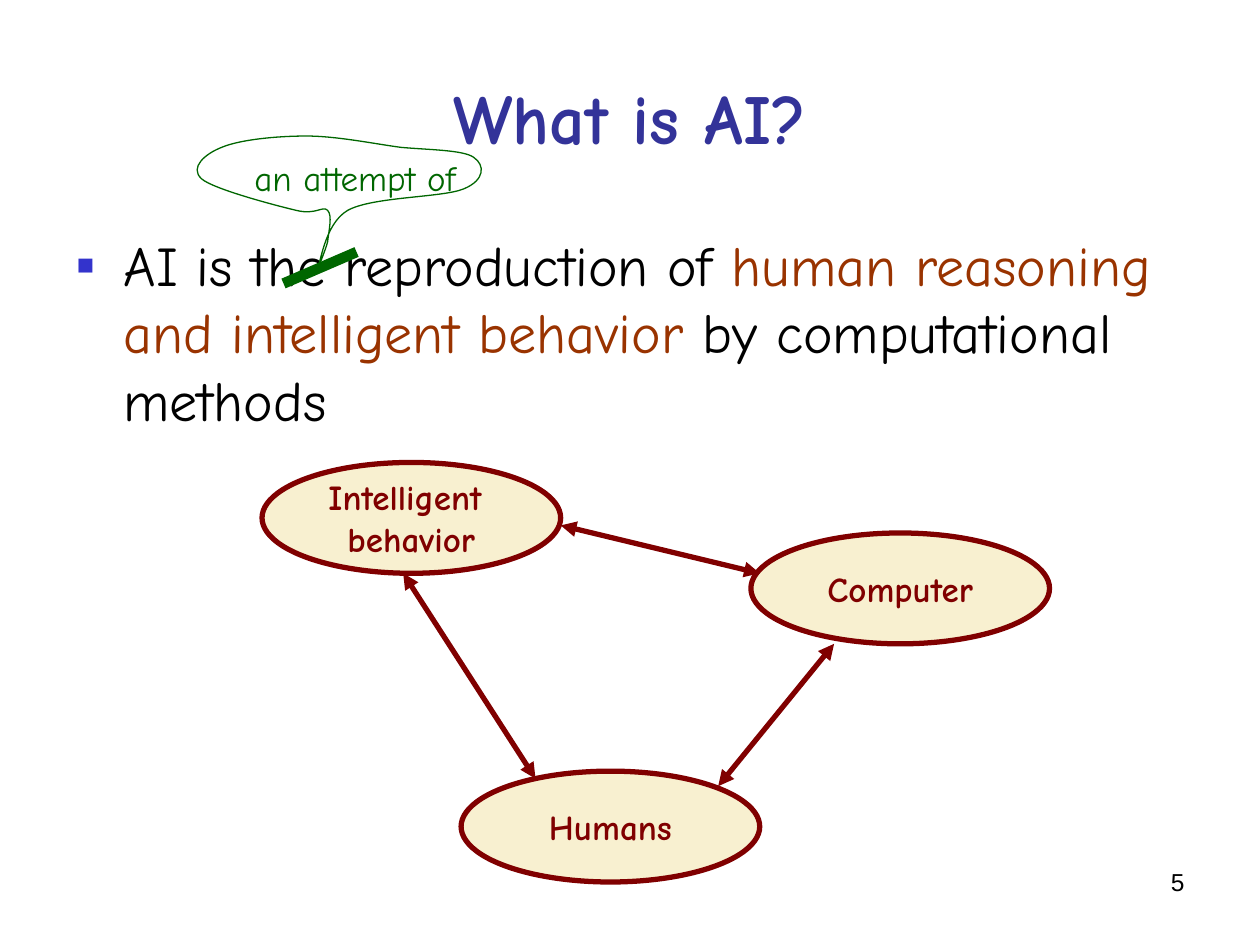
from lxml import etree
from pptx import Presentation
from pptx.dml.color import RGBColor
from pptx.enum.shapes import MSO_CONNECTOR, MSO_SHAPE
from pptx.enum.text import MSO_ANCHOR, MSO_AUTO_SIZE, PP_ALIGN
from pptx.oxml.ns import qn
from pptx.util import Inches, Pt

STRAIGHT = MSO_CONNECTOR.STRAIGHT
OVAL = MSO_SHAPE.OVAL
MIDDLE = MSO_ANCHOR.MIDDLE
NO_AUTOFIT = MSO_AUTO_SIZE.NONE
LEFT, CENTER, RIGHT = PP_ALIGN.LEFT, PP_ALIGN.CENTER, PP_ALIGN.RIGHT

COLORS = {
    "title": "333399",
    "text": "000000",
    "emphasis": "993300",
    "bullet": "3333CC",
    "node": "F8F0D0",
    "maroon": "800000",
    "green": "006600",
}
FONT = "Comic Neue"
NODE_SIZE = (2.37, 0.88)
NODES = [
    (2.08, 3.67, ["Intelligent ", "behavior"]),
    (3.66, 6.12, ["Humans"]),
    (5.96, 4.23, ["Computer"]),
]
LINKS = [
    ((3.2, 4.55), (4.25, 6.18)),
    ((5.7, 6.24), (6.62, 5.11)),
    ((4.45, 4.17), (6.03, 4.55)),
]
BUBBLE_START = (2.43, 1.08)
# Each curve: two control points and an end point
BUBBLE_CURVES = [
    ((2.19, 1.08), (1.9, 1.11), (1.76, 1.17)),
    ((1.63, 1.22), (1.5, 1.33), (1.6, 1.42)),
    ((1.69, 1.5), (2.18, 1.63), (2.35, 1.67)),
    ((2.51, 1.71), (2.56, 1.63), (2.6, 1.67)),
    ((2.64, 1.71), (2.61, 1.83), (2.6, 1.92)),
    ((2.58, 2), (2.49, 2.21), (2.51, 2.17)),
    ((2.54, 2.12), (2.57, 1.78), (2.76, 1.67)),
    ((2.96, 1.56), (3.51, 1.57), (3.68, 1.5)),
    ((3.85, 1.43), (3.85, 1.31), (3.76, 1.25)),
    ((3.68, 1.19), (3.4, 1.19), (3.18, 1.17)),
    ((2.96, 1.14), (2.67, 1.08), (2.43, 1.08)),
]


def rgb(name):
    return RGBColor.from_string(COLORS[name])


def merge_into_curves(shape):
    """Turn every three line segments of a freeform into one cubic curve."""
    segments = list(shape._element.iter(qn("a:lnTo")))
    for first in range(0, len(segments), 3):
        curve = etree.Element(qn("a:cubicBezTo"))
        segments[first].addprevious(curve)
        for segment in segments[first:first + 3]:
            curve.append(segment[0])
            segment.getparent().remove(segment)


class SlideBuilder:
    def __init__(self, slide, font):
        self.slide = slide
        self.font = font

    def place(self, shape, left, top, width, height):
        shape.left, shape.top = Inches(left), Inches(top)
        shape.width, shape.height = Inches(width), Inches(height)

    def style(self, paragraph, size, color, bold=False, align=LEFT, font=None):
        paragraph.alignment = align
        paragraph.font.name = font or self.font
        paragraph.font.size = Pt(size)
        paragraph.font.bold = bold
        paragraph.font.color.rgb = rgb(color)

    def outline(self, shape, color, width):
        shape.line.color.rgb = rgb(color)
        shape.line.width = Pt(width)

    def title(self, text, box):
        title = self.slide.shapes.title
        self.place(title, *box)
        frame = title.text_frame
        frame.text = text
        frame.auto_size = NO_AUTOFIT
        frame.vertical_anchor = MIDDLE
        self.style(frame.paragraphs[0], 40, "title", bold=True, align=CENTER)

    def bullet(self, runs, box):
        body = self.slide.placeholders[1]
        self.place(body, *box)
        body.text_frame.auto_size = NO_AUTOFIT
        paragraph = body.text_frame.paragraphs[0]
        self.style(paragraph, 32, "text")
        paragraph.space_before = Pt(0)
        for text, color in runs:
            run = paragraph.add_run()
            run.text = text
            run.font.color.rgb = rgb(color)
        props = paragraph._p.get_or_add_pPr()
        props.set("marL", str(Inches(0.38)))
        props.set("indent", str(-Inches(0.38)))
        bullet_color = etree.Element(qn("a:buClr"))
        etree.SubElement(bullet_color, qn("a:srgbClr"), val=COLORS["bullet"])
        bullet_font = etree.Element(qn("a:buFont"), typeface="Arial")
        bullet_char = etree.Element(qn("a:buChar"), char="▪")
        run_defaults = props.find(qn("a:defRPr"))
        for element in (bullet_color, bullet_font, bullet_char):
            run_defaults.addprevious(element)

    def label(self, text, box, size, color, wrap=True, align=LEFT, font=None):
        frame = self.slide.shapes.add_textbox(*map(Inches, box)).text_frame
        frame.word_wrap = wrap
        frame.text = text
        self.style(frame.paragraphs[0], size, color, align=align, font=font)

    def node(self, left, top, lines):
        oval = self.slide.shapes.add_shape(
            OVAL, *map(Inches, (left, top, *NODE_SIZE)))
        oval.shadow.inherit = False
        oval.fill.solid()
        oval.fill.fore_color.rgb = rgb("node")
        self.outline(oval, "maroon", 3)
        frame = oval.text_frame
        frame.word_wrap = False
        frame.vertical_anchor = MIDDLE
        frame.text = "\n".join(lines)
        for paragraph in frame.paragraphs:
            self.style(paragraph, 20, "maroon", bold=True, align=CENTER)

    def line(self, start, end, color, width, arrows=False):
        connector = self.slide.shapes.add_connector(
            STRAIGHT, *map(Inches, (*start, *end)))
        self.outline(connector, color, width)
        if arrows:
            line_props = connector.line._get_or_add_ln()
            for tag in ("a:headEnd", "a:tailEnd"):
                etree.SubElement(line_props, qn(tag), type="triangle")
        etree.SubElement(connector._element.spPr, qn("a:effectLst"))

    def bubble(self, start, curves, color):
        builder = self.slide.shapes.build_freeform(*map(Inches, start))
        builder.add_line_segments(
            [(Inches(x), Inches(y)) for curve in curves for x, y in curve],
            close=True)
        bubble = builder.convert_to_shape()
        merge_into_curves(bubble)
        bubble.shadow.inherit = False
        bubble.fill.background()
        self.outline(bubble, color, 0.75)


def main():
    deck = Presentation()
    deck.slide_width, deck.slide_height = Inches(10), Inches(7.5)
    page = SlideBuilder(deck.slides.add_slide(deck.slide_layouts[1]), FONT)

    page.label("5", (7.17, 6.83, 2.33, 0.52), 14, "text",
               align=RIGHT, font="Arial")
    page.bullet([
        ("AI is the reproduction of ", "text"),
        ("human reasoning and intelligent behavior ", "emphasis"),
        ("by computational methods", "text"),
    ], (0.5, 1.78, 9, 4.67))
    for node in NODES:
        page.node(*node)
    for start, end in LINKS:
        page.line(start, end, "maroon", 3, arrows=True)
    page.title("What is AI?", (0.5, 0.3, 9, 1.25))
    page.label("an attempt of", (1.92, 1.19, 1.81, 0.44), 20, "green",
               wrap=False)
    page.bubble(BUBBLE_START, BUBBLE_CURVES, "green")
    page.line((2.25, 2.25), (2.83, 2), "green", 6)

    deck.save("out.pptx")


if __name__ == "__main__":
    main()
